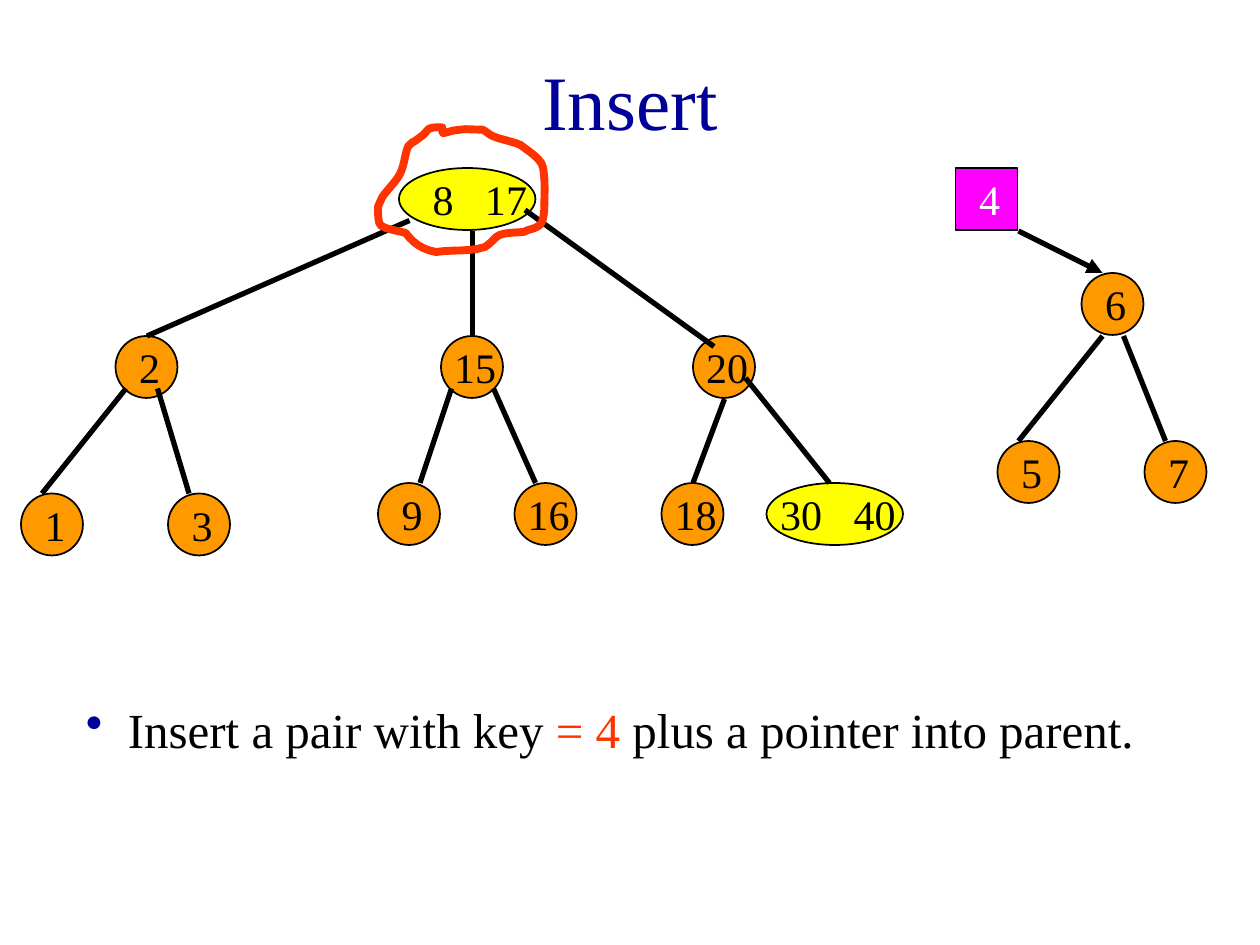
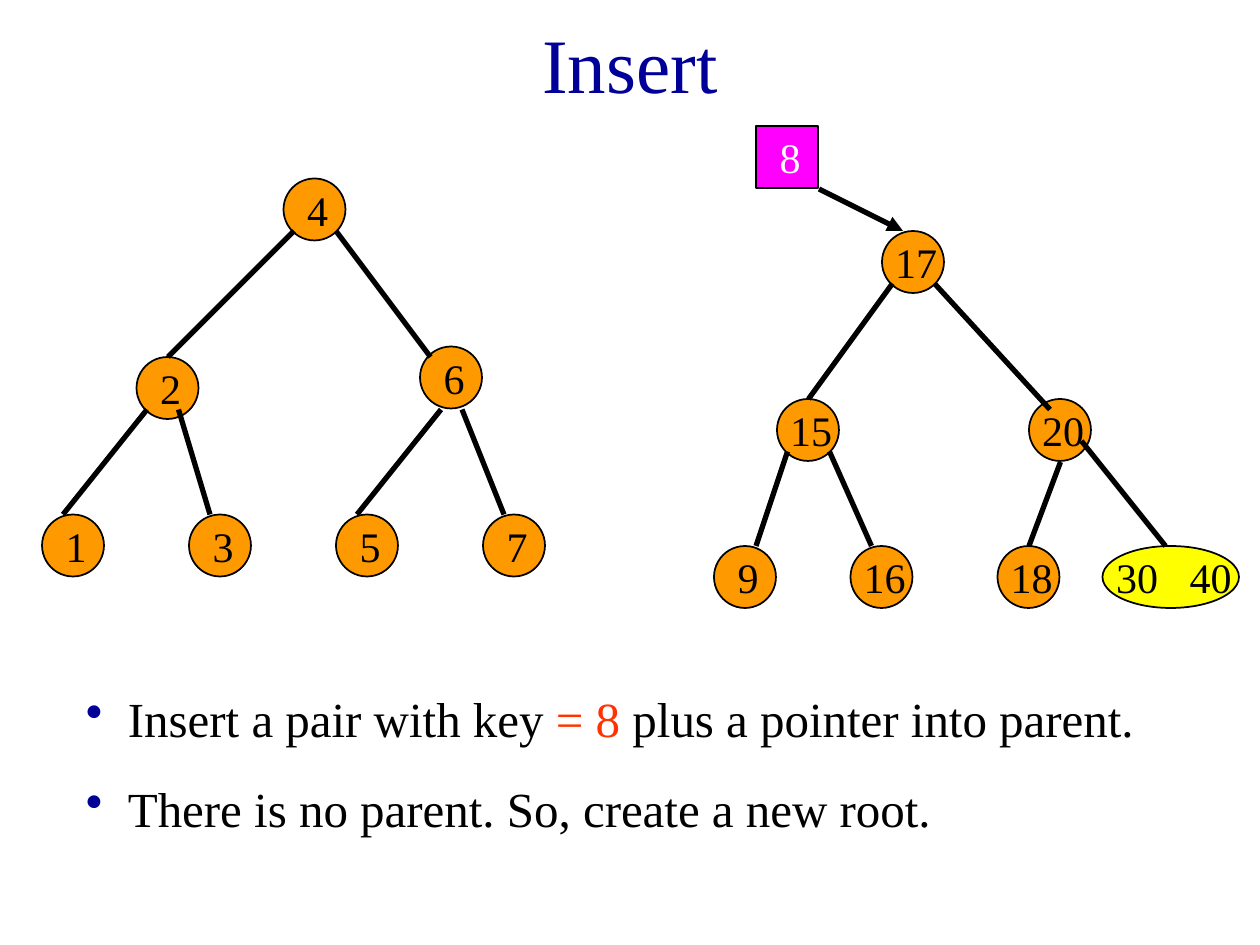
from lxml import etree
from pptx import Presentation
from pptx.dml.color import RGBColor
from pptx.enum.shapes import MSO_CONNECTOR, MSO_SHAPE
from pptx.enum.text import MSO_ANCHOR, PP_ALIGN
from pptx.oxml.ns import qn
from pptx.util import Inches, Pt

OVAL, SQUARE = MSO_SHAPE.OVAL, MSO_SHAPE.RECTANGLE
STRAIGHT = MSO_CONNECTOR.STRAIGHT
MIDDLE, CENTER = MSO_ANCHOR.MIDDLE, PP_ALIGN.CENTER

NAVY = RGBColor(0x00, 0x00, 0x99)
BLACK = RGBColor(0x00, 0x00, 0x00)
WHITE = RGBColor(0xFF, 0xFF, 0xFF)
RED = RGBColor(0xFF, 0x33, 0x00)
ORANGE = RGBColor(0xFF, 0x99, 0x00)
YELLOW = RGBColor(0xFF, 0xFF, 0x00)
MAGENTA = RGBColor(0xFF, 0x00, 0xFF)
FONT = "Times New Roman"

presentation = Presentation()
presentation.slide_width = Inches(10)
presentation.slide_height = Inches(7.5)
CELL = presentation.slide_width // 120  # the slide is a grid of 120 x 90 cells
NODE_SIZE, WIDE_NODE = 5.9, 13

# Subtrees: children (label, column, row) and edges, relative to the root node
SUBTREES = {
    "2": ([("1", -9, 15), ("3", 5, 15)],
          [(1, 5, -7, 15), (4, 5, 7, 15)]),
    "6": ([("5", -8, 16), ("7", 6, 16)],
          [(2, 6, -6, 16), (4, 6, 8, 16)]),
    "15": ([("9", -6, 14), ("16", 7, 14)],
           [(1, 5, -2, 14), (5, 5, 9, 14)]),
    "20": ([("18", -3, 14), ("30   40", 7, 14)],
           [(3, 6, 0, 14), (5, 4, 13, 14)]),
}

# Per slide: root nodes, edges between them, and the pair that points at a root
SLIDES = [
    {
        "title": (2, 15),
        "text_row": 66,
        "bullets": [[("Insert a pair with key ", BLACK), ("= 4 ", RED),
                     ("plus a pointer into parent.", BLACK)]],
        "roots": [("8   17", 38, 16), ("2", 11, 32), ("15", 42, 32),
                  ("20", 66, 32), ("6", 103, 26)],
        "edges": [(39, 21, 14, 32), (45, 22, 45, 32), (50, 20, 68, 33)],
        "pair": ("4", 103, 26),
    },
    {
        "title": (0, 12),
        "text_row": 65,
        "bullets": [[("Insert a pair with key ", BLACK), ("= 8 ", RED),
                     ("plus a pointer into parent.", BLACK)],
                    [("There is no parent. So, create a new root.", BLACK)]],
        "roots": [("4", 27, 17), ("2", 13, 34), ("6", 40, 33),
                  ("17", 84, 22), ("15", 74, 38), ("20", 98, 38)],
        "edges": [(28, 22, 16, 34), (32, 22, 41, 34),
                  (85, 27, 77, 38), (89, 27, 100, 39)],
        "pair": ("8", 84, 22),
    },
]

# Hand-drawn ring: a start point, then three Bezier points a curve, in inches
RING = [
    (3.51, 1.01),
    (3.47, 1.01), (3.44, 1.01), (3.41, 1.02), (3.39, 1.03), (3.38, 1.05), (3.36, 1.07),
    (3.19, 1.20), (3.34, 1.07), (3.24, 1.16), (3.21, 1.23), (3.21, 1.32), (3.17, 1.39),
    (3.14, 1.44), (3.10, 1.48), (3.06, 1.53), (3.03, 1.56), (3.02, 1.60), (3.00, 1.64),
    (3.00, 1.68), (3.00, 1.73), (3.01, 1.77), (3.02, 1.82), (3.17, 1.83), (3.22, 1.85),
    (3.28, 1.93), (3.35, 1.98), (3.46, 2.00), (3.59, 1.98), (3.73, 2.00), (3.85, 1.96),
    (3.88, 1.94), (3.91, 1.91), (3.94, 1.88), (3.99, 1.84), (4.09, 1.85), (4.16, 1.84),
    (4.19, 1.82), (4.24, 1.82), (4.28, 1.79), (4.32, 1.76), (4.32, 1.65), (4.32, 1.65),
    (4.32, 1.55), (4.33, 1.44), (4.31, 1.33), (4.30, 1.26), (4.18, 1.19), (4.13, 1.15),
    (4.06, 1.12), (3.98, 1.11), (3.91, 1.08), (3.90, 1.08), (3.84, 1.03), (3.83, 1.03),
    (3.50, 1.00), (3.51, 1.12), (3.51, 1.01),
]
CURVE_STEPS = 6


def add_run(paragraph, text, size, color):
    run = paragraph.add_run()
    run.text = text
    run.font.name = FONT
    run.font.size = Pt(size)
    run.font.color.rgb = color


def add_node(slide, label, column, row, kind=OVAL, color=ORANGE, text_color=BLACK):
    wide = " " in label
    width = WIDE_NODE if wide else NODE_SIZE
    shape = slide.shapes.add_shape(kind, round(column * CELL), round(row * CELL),
                                   round(width * CELL), round(NODE_SIZE * CELL))
    shape.shadow.inherit = False
    shape.fill.solid()
    shape.fill.fore_color.rgb = YELLOW if wide else color
    shape.line.color.rgb = BLACK
    shape.line.width = Pt(1)
    frame = shape.text_frame
    frame.word_wrap = False
    frame.vertical_anchor = MIDDLE
    frame.margin_left = Inches(0.2 if label == "8   17" else 0.05)
    frame.margin_right = frame.margin_top = frame.margin_bottom = 0
    frame.paragraphs[0].alignment = CENTER
    add_run(frame.paragraphs[0], label, 24, text_color)


for content in SLIDES:
    slide = presentation.slides.add_slide(presentation.slide_layouts[6])

    # Title
    top, height = content["title"]
    title = slide.shapes.add_textbox(9 * CELL, top * CELL, 102 * CELL, height * CELL)
    title.text_frame.word_wrap = True
    title.text_frame.vertical_anchor = MIDDLE
    title.text_frame.paragraphs[0].alignment = CENTER
    add_run(title.text_frame.paragraphs[0], "Insert", 44, NAVY)

    # Bullets
    bullets = content["bullets"]
    body = slide.shapes.add_textbox(7 * CELL, content["text_row"] * CELL,
                                    106 * CELL, 7 * CELL * len(bullets))
    body.text_frame.word_wrap = True
    for index, runs in enumerate(bullets):
        paragraph = body.text_frame.add_paragraph() if index else body.text_frame.paragraphs[0]
        paragraph.space_before = Pt(17.5)
        for text, color in runs:
            add_run(paragraph, text, 28, color)
        properties = paragraph._p.get_or_add_pPr()
        properties.set("marL", str(4 * CELL))
        properties.set("indent", str(-4 * CELL))
        bullet_color = etree.SubElement(properties, qn("a:buClr"))
        etree.SubElement(bullet_color, qn("a:srgbClr"), val=str(NAVY))
        etree.SubElement(properties, qn("a:buChar"), char="•")

    # Nodes, with the edges of each subtree
    edges = list(content["edges"])
    for label, column, row in content["roots"]:
        add_node(slide, label, column, row)
        children, child_edges = SUBTREES.get(label, ([], []))
        for child, right, down in children:
            add_node(slide, child, column + right, row + down)
        for x1, y1, x2, y2 in child_edges:
            edges.append((column + x1, row + y1, column + x2, row + y2))

    # Pair to insert, and its pointer (the last edge)
    key, column, row = content["pair"]
    add_node(slide, key, column - 12, row - 10, SQUARE, MAGENTA, WHITE)
    pointer = (column - 6, row - 4, column + 2, row)

    for edge in edges + [pointer]:
        line = slide.shapes.add_connector(STRAIGHT, *[position * CELL for position in edge])
        line.line.color.rgb = BLACK
        line.line.width = Pt(3)
        etree.SubElement(line._element.spPr, qn("a:effectLst"))
        if edge is pointer:
            etree.SubElement(line.line._get_or_add_ln(), qn("a:tailEnd"), type="triangle")

# Ring around the root of the first slide
points = []
for start in range(0, len(RING) - 1, 3):
    p0, p1, p2, p3 = RING[start:start + 4]
    for step in range(1, CURVE_STEPS + 1):
        t = step / CURVE_STEPS
        points.append(tuple(
            Inches((1 - t) ** 3 * a + 3 * (1 - t) ** 2 * t * b + 3 * (1 - t) * t ** 2 * c + t ** 3 * d)
            for a, b, c, d in zip(p0, p1, p2, p3)))
builder = presentation.slides[0].shapes.build_freeform(Inches(RING[0][0]), Inches(RING[0][1]))
builder.add_line_segments(points, close=True)
ring = builder.convert_to_shape()
ring.shadow.inherit = False
ring.fill.background()
ring.line.color.rgb = RED
ring.line.width = Pt(4.5)

presentation.save("out.pptx")
